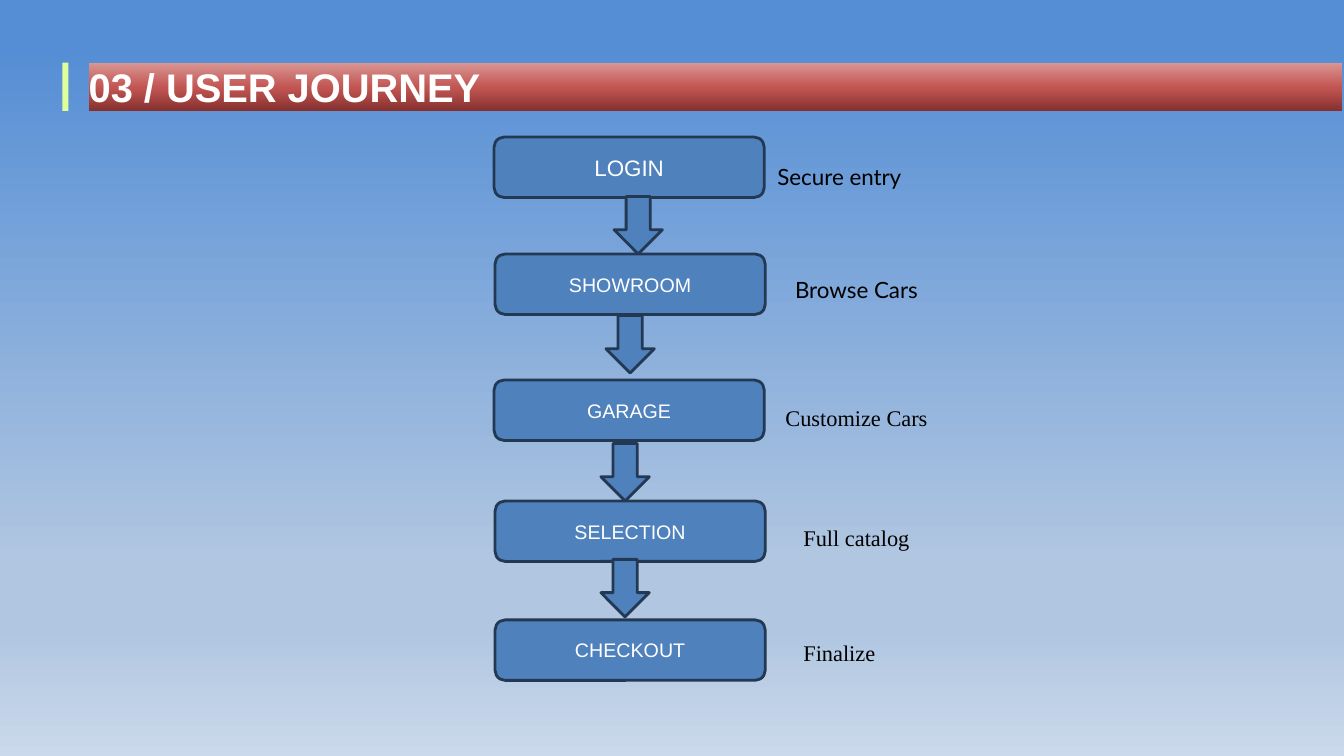
from dataclasses import dataclass

from lxml import etree
from pptx import Presentation
from pptx.dml.color import RGBColor
from pptx.dml.fill import FillFormat
from pptx.enum.shapes import MSO_SHAPE
from pptx.enum.text import MSO_ANCHOR, MSO_AUTO_SIZE, PP_ALIGN
from pptx.oxml.ns import qn
from pptx.shapes.autoshape import Shape
from pptx.slide import Slide
from pptx.text.text import TextFrame
from pptx.util import Inches, Pt

WHITE, BLACK = "FFFFFF", "000000"
STEP_FILL, STEP_LINE = "4F81BD", "233953"
BAR_TOP, BAR_HEIGHT = 0.62, 0.48
STEP_WIDTH, STEP_HEIGHT = 2.68, 0.6
ARROW_WIDTH, ARROW_HEIGHT = 0.48, 0.57
NOTE_WIDTH, NOTE_HEIGHT = 2.17, 0.4


@dataclass
class Step:
    """One stage of the journey with the note beside it."""
    name: str
    left: float
    top: float
    note: str
    note_left: float
    note_top: float
    note_font: str = "Times New Roman"
    size: float = 14


@dataclass
class Arrow:
    """Top-left corner of an arrow between two stages."""
    left: float
    top: float


STEPS = [
    Step("LOGIN", 4.9, 1.36, "Secure entry", 7.24, 1.49, "Lato", 16),
    Step("SHOWROOM", 4.91, 2.52, "Browse Cars", 7.41, 2.61, "Lato"),
    Step("GARAGE", 4.9, 3.77, "Customize Cars", 7.41, 3.88),
    Step("SELECTION", 4.91, 4.97, "Full catalog", 7.41, 5.07),
    Step("CHECKOUT", 4.91, 6.15, "Finalize", 7.24, 6.21),
]
ARROWS = [Arrow(6.09, 1.95), Arrow(6.01, 3.13), Arrow(5.96, 4.4), Arrow(5.96, 5.55)]


def color(value: str) -> RGBColor:
    """Turn a hex string into a colour."""
    return RGBColor.from_string(value)


def set_gradient(fill: FillFormat, owner: etree.ElementBase, angle: float,
                 stops: list[tuple[int, str]]) -> None:
    """Give a fill a linear gradient; the angle runs counter-clockwise."""
    fill.gradient()
    fill.gradient_angle = angle
    stop_list = owner.find(".//" + qn("a:gsLst"))
    for old in list(stop_list):
        stop_list.remove(old)
    for percent, value in stops:
        stop = etree.SubElement(stop_list, qn("a:gs"), pos=str(percent * 1000))
        etree.SubElement(stop, qn("a:srgbClr"), val=value)


def add_block(slide: Slide, kind: MSO_SHAPE, left: float, top: float,
              width: float, height: float, fill: str, line: str = "") -> Shape:
    """Add a flat preset shape, outlined only if a line colour is given."""
    shape = slide.shapes.add_shape(
        kind, Inches(left), Inches(top), Inches(width), Inches(height))
    shape.shadow.inherit = False
    shape.fill.solid()
    shape.fill.fore_color.rgb = color(fill)
    if line:
        shape.line.color.rgb = color(line)
        shape.line.width = Pt(2)
    else:
        shape.line.fill.background()
    return shape


def write(frame: TextFrame, text: str, font: str, size: float, ink: str,
          align: PP_ALIGN = PP_ALIGN.CENTER, bold: bool = False) -> None:
    """Write one styled paragraph."""
    frame.word_wrap = True
    paragraph = frame.paragraphs[0]
    paragraph.alignment = align
    run = paragraph.add_run()
    run.text = text
    run.font.name, run.font.size, run.font.bold = font, Pt(size), bold
    run.font.color.rgb = color(ink)


def fit_tightly(frame: TextFrame) -> None:
    """Drop the margins, start at the top and let the box grow."""
    frame.margin_left = frame.margin_right = Inches(0)
    frame.margin_top = frame.margin_bottom = Inches(0)
    frame.vertical_anchor = MSO_ANCHOR.TOP
    frame.auto_size = MSO_AUTO_SIZE.SHAPE_TO_FIT_TEXT


def add_title(slide: Slide) -> None:
    """Add the title bar and its accent."""
    bar = add_block(slide, MSO_SHAPE.RECTANGLE, 0.88, BAR_TOP, 12.43, BAR_HEIGHT, "C25552")
    set_gradient(bar.fill, bar.element, 90, [(0, "85312F"), (48, "C25552"), (100, "D99694")])
    fit_tightly(bar.text_frame)
    write(bar.text_frame, "03 / USER JOURNEY", "Arial", 28.5, WHITE, PP_ALIGN.LEFT, True)
    add_block(slide, MSO_SHAPE.RECTANGLE, 0.62, BAR_TOP, 0.06, BAR_HEIGHT, "DEFF9A")


def add_step(slide: Slide, step: Step) -> None:
    """Add a stage box and its note."""
    box = add_block(slide, MSO_SHAPE.ROUNDED_RECTANGLE, step.left, step.top,
                    STEP_WIDTH, STEP_HEIGHT, STEP_FILL, STEP_LINE)
    box.text_frame.vertical_anchor = MSO_ANCHOR.MIDDLE
    write(box.text_frame, step.name, "Arial", step.size, WHITE)
    note = slide.shapes.add_textbox(Inches(step.note_left), Inches(step.note_top),
                                    Inches(NOTE_WIDTH), Inches(NOTE_HEIGHT))
    fit_tightly(note.text_frame)
    write(note.text_frame, step.note, step.note_font, 16, BLACK)
    note.text_frame.paragraphs[0].line_spacing = 1.5


def main() -> None:
    """Build and save the slide."""
    deck = Presentation()
    deck.slide_width, deck.slide_height = Inches(13.33), Inches(7.5)
    slide = deck.slides.add_slide(deck.slide_layouts[6])
    set_gradient(slide.background.fill, slide.element, 270,
                 [(6, "558ED5"), (74, "B0C6E1"), (83, "B0C6E1"), (100, "CAD9EB")])
    add_title(slide)
    for step in STEPS:
        add_step(slide, step)
    for arrow in ARROWS:
        add_block(slide, MSO_SHAPE.DOWN_ARROW, arrow.left, arrow.top,
                  ARROW_WIDTH, ARROW_HEIGHT, STEP_FILL, STEP_LINE)
    deck.save("out.pptx")


main()
